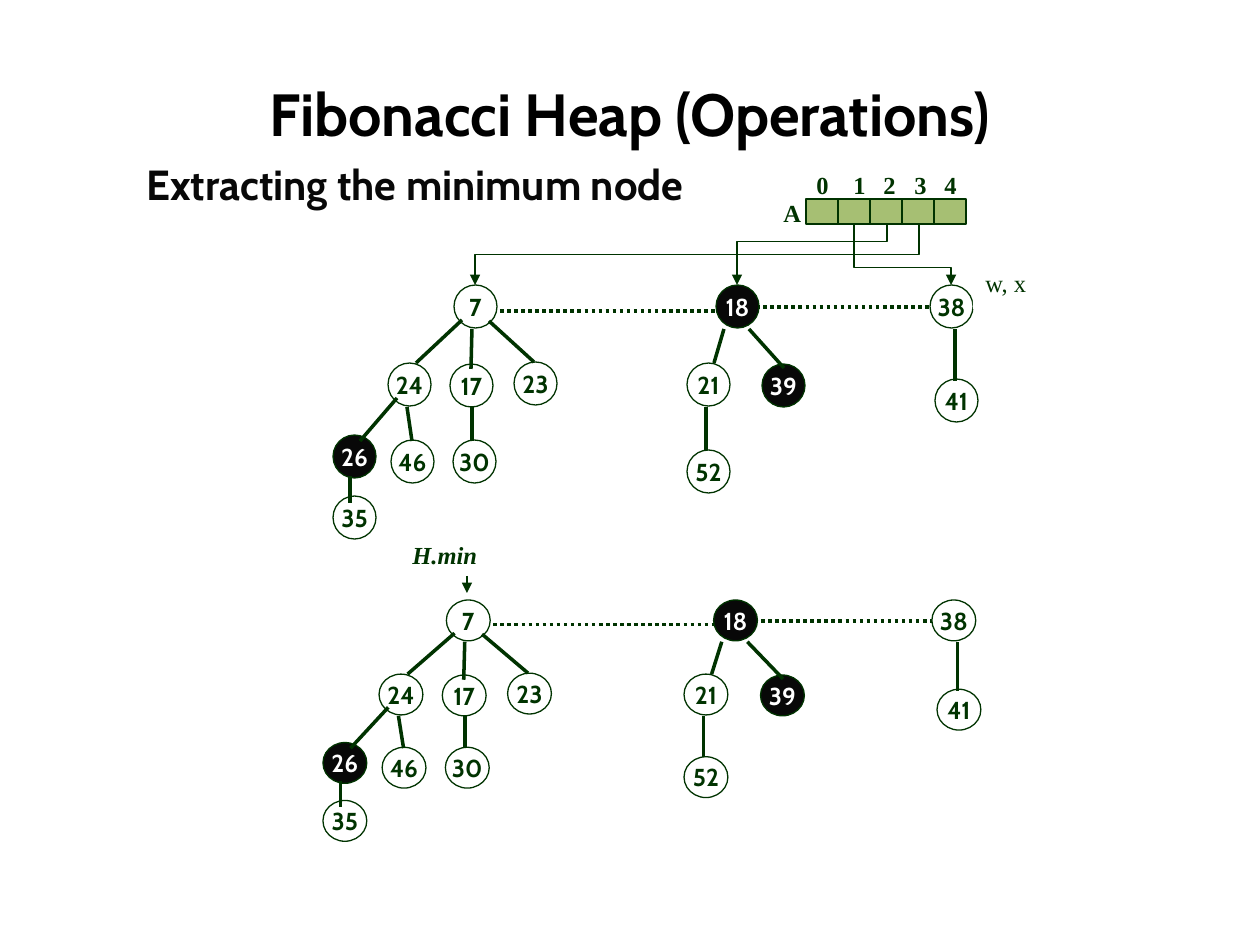
from lxml import etree
from pptx import Presentation
from pptx.dml.color import RGBColor
from pptx.enum.dml import MSO_LINE
from pptx.enum.shapes import MSO_CONNECTOR, MSO_SHAPE
from pptx.enum.text import MSO_ANCHOR, MSO_AUTO_SIZE, PP_ALIGN
from pptx.oxml.ns import qn
from pptx.util import Emu, Pt

EMU_PER_PX = 914400 / 126
TITLE_ONLY = 5
STRAIGHT, ELBOW = MSO_CONNECTOR.STRAIGHT, MSO_CONNECTOR.ELBOW
OVAL, RECTANGLE = MSO_SHAPE.OVAL, MSO_SHAPE.RECTANGLE
LEFT, CENTER, JUSTIFY = PP_ALIGN.LEFT, PP_ALIGN.CENTER, PP_ALIGN.JUSTIFY
TOP, MIDDLE = MSO_ANCHOR.TOP, MSO_ANCHOR.MIDDLE
DOTTED = MSO_LINE.ROUND_DOT

BLACK = RGBColor(0x00, 0x00, 0x00)
NEAR_BLACK = RGBColor(0x08, 0x08, 0x08)
WHITE = RGBColor(0xFF, 0xFF, 0xFF)
DARK_GREEN = RGBColor(0x00, 0x33, 0x00)
LIGHT_GREEN = RGBColor(0xA6, 0xBF, 0x73)
SANS, SERIF = "Cabin", "Times New Roman"

NODE_SIZE = 43
MARKED = {18, 26, 39}
# Left and top of each node of the upper heap
NODES = {
    7: (454, 285), 18: (716, 285), 38: (930, 285),
    24: (388, 363), 17: (450, 364), 23: (514, 362),
    21: (687, 363), 39: (762, 364), 41: (935, 379),
    26: (333, 435), 46: (391, 440), 30: (453, 440),
    52: (687, 450), 35: (333, 496),
}
EDGES = [
    (462, 320, 416, 363), (472, 329, 471, 369), (489, 321, 534, 362),
    (397, 398, 360, 441), (407, 407, 412, 441), (472, 406, 472, 441),
    (350, 476, 350, 503), (724, 329, 714, 363), (749, 329, 784, 368),
    (706, 407, 706, 450), (955, 329, 955, 381),
]
ROOT_LINKS = [(500, 311, 725, 311), (721, 307, 930, 307)]

CELL_LEFT, CELL_TOP, CELL_WIDTH, CELL_HEIGHT, CELL_COUNT = 806, 199, 32, 25, 5
INDEX_TABS = (37, 67, 98, 128)
# Start x, end x and bend position of each pointer from the array
POINTERS = [(919, 475, 0.5), (887, 737, 0.29), (854, 951, 0.71)]


def px(value):
    return Emu(round(value * EMU_PER_PX))


def write(shape, text, *, size=14, font=SANS, color=DARK_GREEN, bold=True,
          italic=False, align=LEFT, anchor=TOP, wrap=False, spacing=None,
          tabs=(), margin=None):
    frame = shape.text_frame
    frame.auto_size = MSO_AUTO_SIZE.NONE
    frame.word_wrap = wrap
    frame.vertical_anchor = anchor
    if margin is not None:
        frame.margin_left = frame.margin_right = px(margin)
        frame.margin_top = frame.margin_bottom = px(margin)
    frame.text = text
    paragraph = frame.paragraphs[0]
    paragraph.alignment = align
    if spacing:
        paragraph.line_spacing = spacing
    if tabs:
        tab_list = etree.SubElement(paragraph._p.get_or_add_pPr(), qn("a:tabLst"))
        for position in tabs:
            etree.SubElement(tab_list, qn("a:tab"), pos=str(px(position)), algn="l")
    style = paragraph.runs[0].font
    style.name, style.size = font, Pt(size)
    style.bold, style.italic = bold, italic
    style.color.rgb = color


def add_text(slide, text, left, top, width, height, fill=None, **text_format):
    box = slide.shapes.add_textbox(px(left), px(top), px(width), px(height))
    if fill is not None:
        box.fill.solid()
        box.fill.fore_color.rgb = fill
    write(box, text, **text_format)


def add_filled(slide, kind, left, top, width, height, fill):
    shape = slide.shapes.add_shape(kind, px(left), px(top), px(width), px(height))
    shape.shadow.inherit = False
    shape.fill.solid()
    shape.fill.fore_color.rgb = fill
    shape.line.color.rgb = DARK_GREEN
    shape.line.width = Pt(0.75)
    return shape


def add_line(slide, start, end, kind=STRAIGHT, width=2, dash=None, arrow=False):
    connector = slide.shapes.add_connector(kind, *map(px, (*start, *end)))
    connector.line.color.rgb = DARK_GREEN
    connector.line.width = Pt(width)
    if dash is not None:
        connector.line.dash_style = dash
    properties = connector._element.spPr
    if arrow:
        etree.SubElement(properties.find(qn("a:ln")), qn("a:tailEnd"), type="triangle")
    etree.SubElement(properties, qn("a:effectLst"))
    return connector


def add_pointer(slide, start, end, bend):
    """Draw an elbow arrow that leaves downwards and arrives downwards."""
    (x1, y1), (x2, y2) = start, end
    center_x, center_y = (x1 + x2) / 2, (y1 + y2) / 2
    half_length, half_span = (y2 - y1) / 2, abs(x2 - x1) / 2
    connector = add_line(
        slide, (center_x - half_length, center_y - half_span),
        (center_x + half_length, center_y + half_span),
        kind=ELBOW, width=0.75, arrow=True)
    properties = connector._element.spPr
    transform = properties.find(qn("a:xfrm"))
    if x2 < x1:
        transform.set("rot", "5400000")
    else:
        transform.set("rot", "16200000")
        transform.set("flipH", "1")
    geometry = properties.find(qn("a:prstGeom"))
    adjustments = geometry.find(qn("a:avLst"))
    if adjustments is None:
        adjustments = etree.SubElement(geometry, qn("a:avLst"))
    etree.SubElement(adjustments, qn("a:gd"), name="adj1",
                     fmla=f"val {round(bend * 100000)}")


def add_heap(slide, left=333, top=285, scale_x=1, scale_y=1):
    """Draw the heap with its leftmost node at left and its roots at top."""
    def place(x, y):
        return left + (x - 333) * scale_x, top + (y - 285) * scale_y

    for x1, y1, x2, y2 in ROOT_LINKS:
        add_line(slide, place(x1, y1), place(x2, y2), dash=DOTTED)
    for key, corner in NODES.items():
        marked = key in MARKED
        node = add_filled(slide, OVAL, *place(*corner), NODE_SIZE * scale_x,
                          NODE_SIZE * scale_y, NEAR_BLACK if marked else WHITE)
        write(node, str(key), color=WHITE if marked else DARK_GREEN,
              align=CENTER, anchor=MIDDLE, margin=0)
    for x1, y1, x2, y2 in EDGES:
        add_line(slide, place(x1, y1), place(x2, y2))


def add_array(slide):
    add_text(slide, "\t".join(map(str, range(CELL_COUNT))), 804, 164, 180, 47,
             font=SERIF, tabs=INDEX_TABS)
    for index in range(CELL_COUNT):
        add_filled(slide, RECTANGLE, CELL_LEFT + index * CELL_WIDTH, CELL_TOP,
                   CELL_WIDTH, CELL_HEIGHT, LIGHT_GREEN)
    add_text(slide, "A", 771, 192, 47, 47, font=SERIF)
    for start_x, end_x, bend in POINTERS:
        add_pointer(slide, (start_x, CELL_TOP + CELL_HEIGHT), (end_x, 285), bend)


def main():
    presentation = Presentation()
    presentation.slide_width, presentation.slide_height = px(1260), px(945)
    slide = presentation.slides.add_slide(presentation.slide_layouts[TITLE_ONLY])

    title = slide.shapes.title
    title.left, title.top, title.width, title.height = map(px, (63, 63, 1134, 100))
    write(title, "Fibonacci Heap (Operations)", size=34, color=BLACK,
          align=CENTER, anchor=MIDDLE, wrap=True)
    add_text(slide, "Extracting the minimum node", 134, 127, 992, 306, size=24,
             color=NEAR_BLACK, align=JUSTIFY, wrap=True, spacing=1.5)

    add_heap(slide)
    add_array(slide)
    add_text(slide, "w, x", 973, 262, 70, 47, fill=WHITE, font=SERIF,
             bold=False, wrap=True)

    add_heap(slide, left=323, top=600, scale_x=1.02, scale_y=0.95)
    add_text(slide, "H.min", 400, 534, 95, 45, fill=WHITE, font=SERIF, italic=True)
    add_line(slide, (467, 576), (467, 593), width=0.75, arrow=True)

    presentation.save("out.pptx")


if __name__ == "__main__":
    main()
